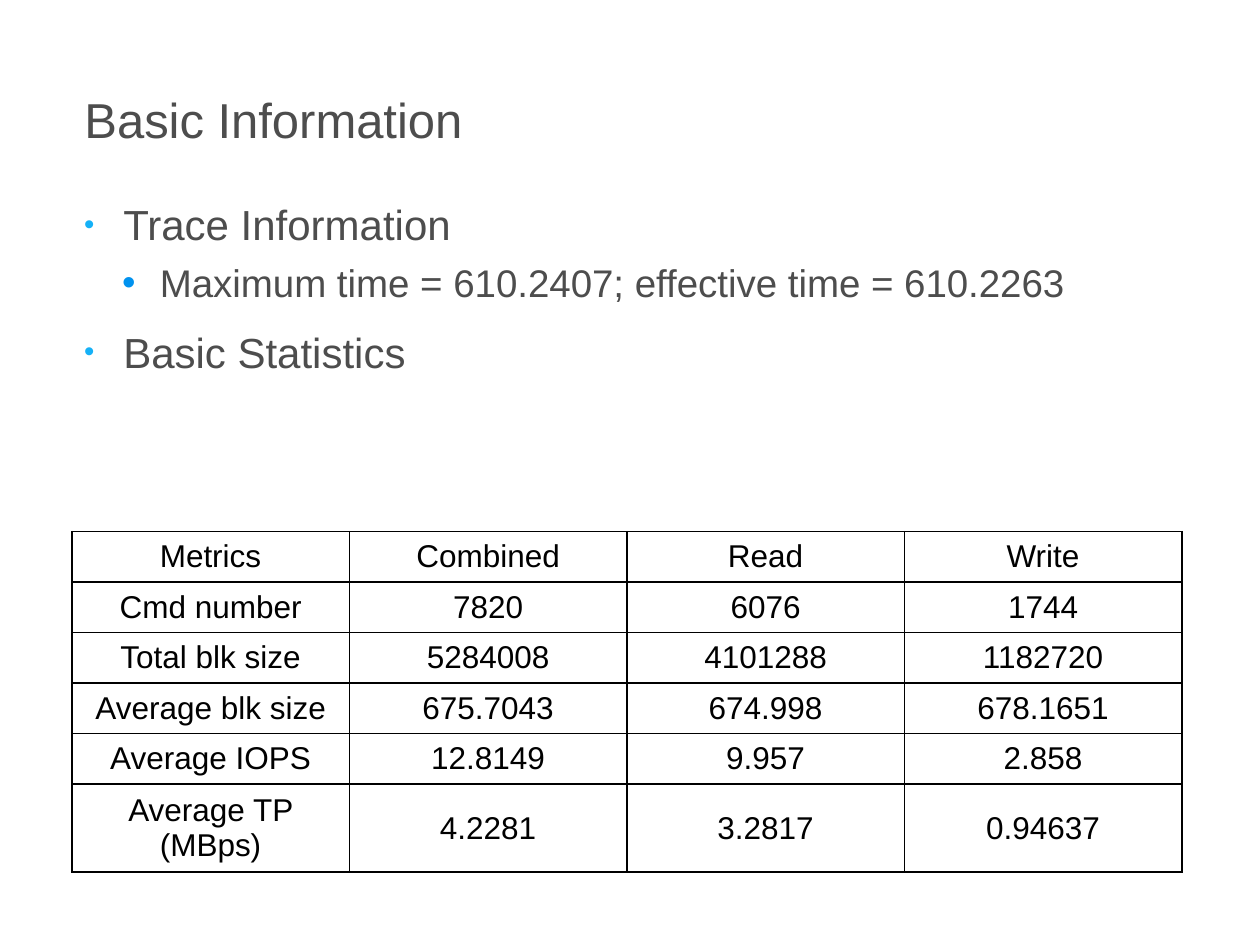
import pptx
import pptx.dml.color
import pptx.enum.text
import pptx.oxml
import pptx.util
from pptx.oxml.ns import qn
from pptx.util import Inches

TITLE = "Basic Information"
# text, level
BULLETS = [
    ("Trace Information", 0),
    ("Maximum time = 610.2407; effective time = 610.2263", 1),
    ("Basic Statistics", 0),
]
METRICS = [
    ("Metrics", "Combined", "Read", "Write"),
    ("Cmd number", "7820", "6076", "1744"),
    ("Total blk size", "5284008", "4101288", "1182720"),
    ("Average blk size", "675.7043", "674.998", "678.1651"),
    ("Average IOPS", "12.8149", "9.957", "2.858"),
    ("Average TP (MBps)", "4.2281", "3.2817", "0.94637"),
]
COLORS = {"text": "4D4D4D", "table": "000000", "bullet": "15B1F7", "sub_bullet": "0092EF"}
LEVELS = [
    {"size": 24, "margin": 0.31, "indent": -0.31, "before": 12, "color": "bullet", "scale": 70},
    {"size": 22, "margin": 0.6, "indent": -0.3, "before": 5.5, "color": "sub_bullet", "scale": 100},
]
LEFT, WIDTH = Inches(0.57), Inches(8.81)
ROW_HEIGHT = Inches(0.35)


def format_runs(paragraph, size, color):
    for run in paragraph.runs:
        run.font.name = "Arial"
        run.font.size = pptx.util.Pt(size)
        run.font.color.rgb = pptx.dml.color.RGBColor.from_string(COLORS[color])


def add_xml(parent, body):
    """Append DrawingML elements, written with the a: prefix, to parent."""
    namespace = "http://schemas.openxmlformats.org/drawingml/2006/main"
    parent.extend(list(pptx.oxml.parse_xml(f'<a:x xmlns:a="{namespace}">{body}</a:x>')))


def add_title(slide):
    title = slide.shapes.title
    title.left, title.top, title.width, title.height = LEFT, Inches(0.71), WIDTH, Inches(0.58)
    frame = title.text_frame
    frame.text = TITLE
    frame.margin_top = 0
    frame.vertical_anchor = pptx.enum.text.MSO_ANCHOR.MIDDLE
    paragraph = frame.paragraphs[0]
    paragraph.alignment = pptx.enum.text.PP_ALIGN.LEFT
    paragraph.line_spacing = 0.9
    format_runs(paragraph, 28, "text")


def add_bullets(slide):
    frame = slide.shapes.add_textbox(LEFT, Inches(1.53), WIDTH, Inches(2.44)).text_frame
    frame.word_wrap = True
    frame.text = "\n".join(text for text, _ in BULLETS)
    for paragraph, (_, level) in zip(frame.paragraphs, BULLETS):
        style = LEVELS[level]
        paragraph.level = level
        paragraph.space_before = pptx.util.Pt(style["before"])
        format_runs(paragraph, style["size"], "text")
        properties = paragraph._p.get_or_add_pPr()
        properties.set("marL", str(Inches(style["margin"])))
        properties.set("indent", str(Inches(style["indent"])))
        add_xml(properties, f'<a:buClr><a:srgbClr val="{COLORS[style["color"]]}"/></a:buClr>'
                            f'<a:buSzPct val="{style["scale"] * 1000}"/>'
                            '<a:buFont typeface="Arial"/><a:buChar char="•"/>')


def add_borders(cell):
    properties = cell._tc.get_or_add_tcPr()
    for side in ("lnL", "lnR", "lnT", "lnB"):
        add_xml(properties, f'<a:{side} w="12700"><a:solidFill><a:srgbClr val="{COLORS["table"]}"/>'
                            f'</a:solidFill></a:{side}>')


def add_metrics(slide):
    table = slide.shapes.add_table(len(METRICS), len(METRICS[0]), LEFT, Inches(4.22),
                                   WIDTH, ROW_HEIGHT * len(METRICS)).table
    table.first_row = table.horz_banding = False
    for row, values in enumerate(METRICS):
        for column, value in enumerate(values):
            cell = table.cell(row, column)
            cell.text = value
            cell.vertical_anchor = pptx.enum.text.MSO_ANCHOR.MIDDLE
            paragraph = cell.text_frame.paragraphs[0]
            paragraph.alignment = pptx.enum.text.PP_ALIGN.CENTER
            format_runs(paragraph, 18, "table")
            add_borders(cell)
            cell.fill.background()


def main():
    presentation = pptx.Presentation()
    presentation.slide_width, presentation.slide_height = Inches(10), Inches(7.5)
    slide = presentation.slides.add_slide(presentation.slide_layouts.get_by_name("Title Only"))
    add_title(slide)
    add_bullets(slide)
    add_metrics(slide)
    presentation.save("out.pptx")


if __name__ == "__main__":
    main()
